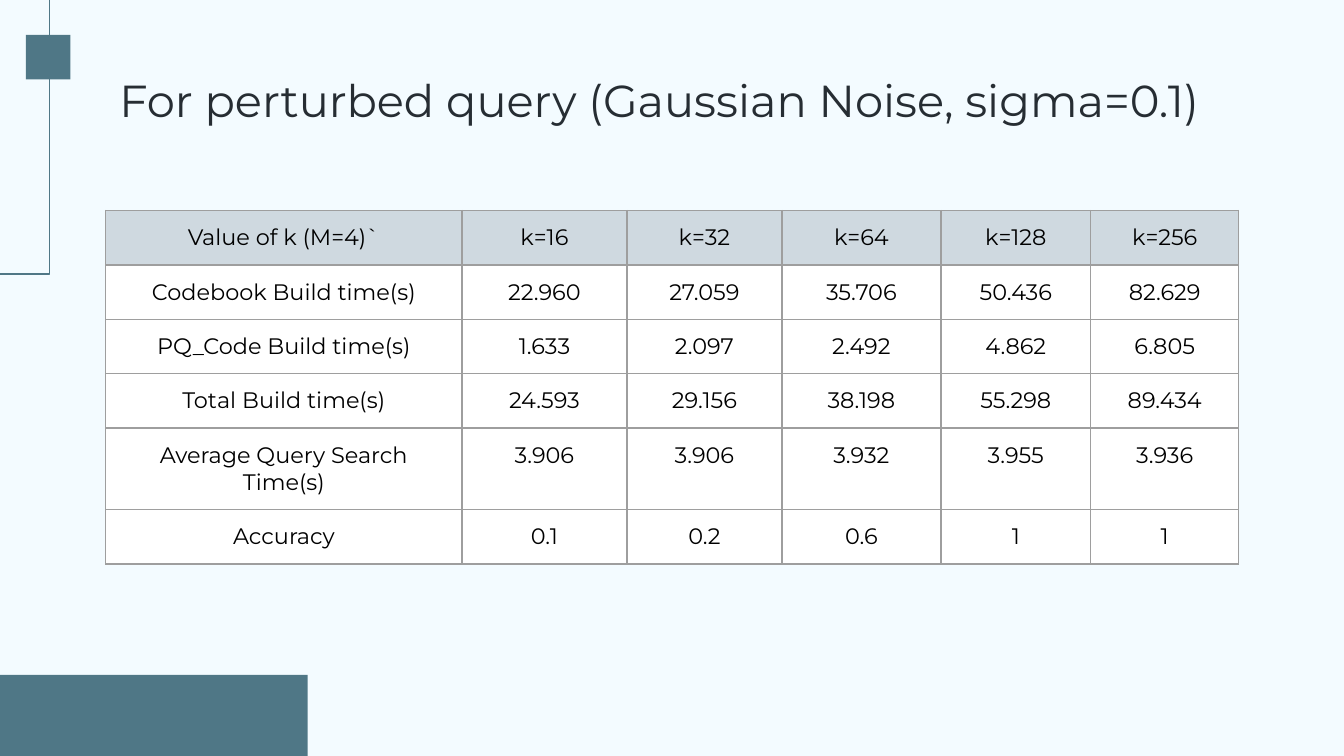
from dataclasses import dataclass
from typing import Any

from lxml.etree import SubElement
from pptx import Presentation
from pptx.dml.color import RGBColor
from pptx.enum.shapes import MSO_SHAPE
from pptx.enum.text import MSO_ANCHOR, MSO_AUTO_SIZE, PP_ALIGN
from pptx.oxml.ns import qn
from pptx.util import Pt

TEAL = "4F7786"
BACKGROUND = "F3FBFF"
TITLE_COLOR = "262D33"
HEADER_FILL = "CFD9E0"
BODY_FILL = "FFFFFF"
BORDER = "9E9E9E"
BLACK = "000000"
FONT = "Montserrat"
INSET = Pt(7.2)
LEFT = 56.7
CONTENT_WIDTH = 607

COLUMN_WIDTHS = [190.8, 88.4, 83, 85.2, 80.3, 79.3]
ROW_HEIGHTS = [29.2, 29, 29, 29, 43.8, 29]
ROWS = [
    ["Value of k (M=4)`", "k=16", "k=32", "k=64", "k=128", "k=256"],
    ["Codebook Build time(s)", "22.960", "27.059", "35.706", "50.436", "82.629"],
    ["PQ_Code Build time(s)", "1.633", "2.097", "2.492", "4.862", "6.805"],
    ["Total Build time(s)", "24.593", "29.156", "38.198", "55.298", "89.434"],
    ["Average Query Search Time(s)", "3.906", "3.906", "3.932", "3.955", "3.936"],
    ["Accuracy", "0.1", "0.2", "0.6", "1", "1"],
]


@dataclass(frozen=True)
class Decoration:
    left: float
    top: float
    width: float
    height: float
    filled: bool


DECORATIONS = [
    Decoration(-18.7, -12.2, 45.4, 159.1, False),
    Decoration(-172.8, 361.6, 337.7, 52.6, True),
    Decoration(13.9, 18.7, 23.9, 23.9, True),
]


def set_values(target: Any, values: dict[str, Any]) -> None:
    for name, value in values.items():
        setattr(target, name, value)


def set_color(color_format: Any, color: str) -> None:
    color_format.rgb = RGBColor.from_string(color)


def set_fill(fill: Any, color: str) -> None:
    fill.solid()
    set_color(fill.fore_color, color)


def write_text(frame: Any, text: str, size: float, color: str, alignment: PP_ALIGN) -> None:
    frame.text = text
    paragraph = frame.paragraphs[0]
    paragraph.alignment = alignment
    font = paragraph.runs[0].font
    set_values(font, {"name": FONT, "size": Pt(size), "bold": False})
    set_color(font.color, color)


def draw_decoration(slide: Any, decoration: Decoration) -> None:
    bounds = (decoration.left, decoration.top, decoration.width, decoration.height)
    shape = slide.shapes.add_shape(MSO_SHAPE.RECTANGLE, *map(Pt, bounds))
    shape.shadow.inherit = False
    if decoration.filled:
        set_fill(shape.fill, TEAL)
        shape.line.fill.background()
    else:
        shape.fill.background()
        set_color(shape.line.color, TEAL)
        shape.line.width = Pt(0.75)


def draw_title(slide: Any, text: str) -> None:
    title = slide.shapes.title
    set_values(title, {"left": Pt(LEFT), "top": Pt(31.9),
                       "width": Pt(CONTENT_WIDTH), "height": Pt(45.4)})
    set_values(title.text_frame, {
        "margin_left": INSET, "margin_top": INSET, "margin_right": INSET,
        "margin_bottom": INSET, "vertical_anchor": MSO_ANCHOR.TOP,
        "word_wrap": True, "auto_size": MSO_AUTO_SIZE.NONE,
    })
    write_text(title.text_frame, text, 24, TITLE_COLOR, PP_ALIGN.LEFT)


def add_borders(cell: Any) -> None:
    properties = cell._tc.get_or_add_tcPr()
    for position, side in enumerate(("lnL", "lnR", "lnT", "lnB")):
        line = SubElement(properties, qn(f"a:{side}"), w=str(Pt(0.75)))
        fill = SubElement(line, qn("a:solidFill"))
        SubElement(fill, qn("a:srgbClr"), val=BORDER)
        properties.insert(position, line)


def draw_table(slide: Any) -> None:
    frame = slide.shapes.add_table(
        len(ROWS), len(COLUMN_WIDTHS), Pt(LEFT), Pt(112.8),
        Pt(CONTENT_WIDTH), Pt(sum(ROW_HEIGHTS)))
    table = frame.table
    set_values(table, {"first_row": False, "horz_banding": False})
    for column, width in zip(table.columns, COLUMN_WIDTHS):
        column.width = Pt(width)
    for row_index, (row, height, texts) in enumerate(zip(table.rows, ROW_HEIGHTS, ROWS)):
        row.height = Pt(height)
        for cell, text in zip(row.cells, texts):
            set_values(cell, {
                "margin_left": INSET, "margin_top": INSET, "margin_right": INSET,
                "margin_bottom": INSET, "vertical_anchor": MSO_ANCHOR.TOP,
            })
            set_fill(cell.fill, BODY_FILL if row_index else HEADER_FILL)
            write_text(cell.text_frame, text, 12, BLACK, PP_ALIGN.CENTER)
            add_borders(cell)


def main() -> None:
    presentation = Presentation()
    set_values(presentation, {"slide_width": Pt(720), "slide_height": Pt(405)})
    slide = presentation.slides.add_slide(presentation.slide_layouts[5])
    set_fill(slide.background.fill, BACKGROUND)
    for decoration in DECORATIONS:
        draw_decoration(slide, decoration)
    draw_title(slide, "For perturbed query (Gaussian Noise, sigma=0.1)")
    draw_table(slide)
    presentation.save("out.pptx")


if __name__ == "__main__":
    main()
